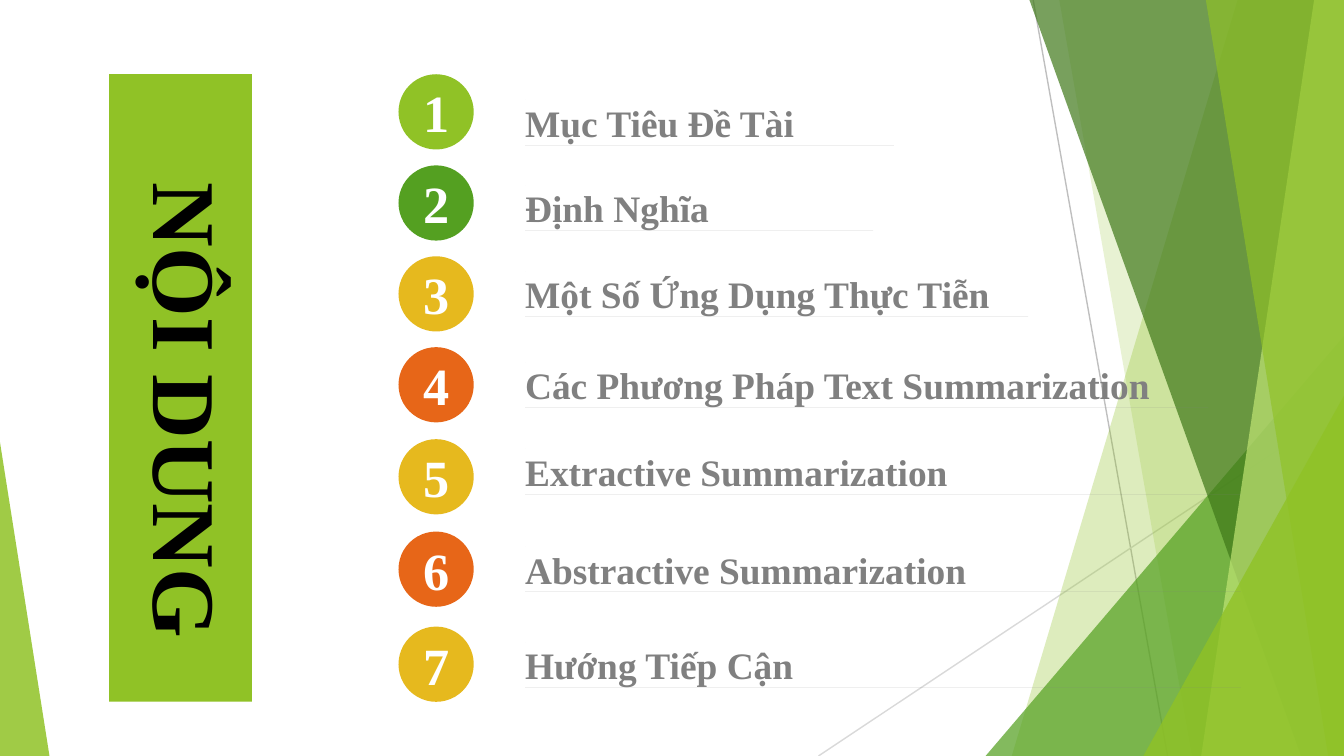
from lxml import etree
from pptx import Presentation
from pptx import util as u
from pptx.dml.color import RGBColor
from pptx.enum import shapes, text
from pptx.oxml import ns

W, H = 720, 405
FONT = "Times New Roman"
COLORS = {
    "lime": "90C226", "green": "54A021", "forest": "3F7819", "pale": "C0E474",
    "gold": "E6B91E", "orange": "E76618", "gray": "808080",
    "silver": "BFBFBF", "mist": "D9D9D9", "white": "FFFFFF", "black": "000000",
}
FACETS = [
    ("slant", (663, 720, 720, 542), "lime", 30),
    ("slant", (567.5, 720, 720, 638.5), "lime", 20),
    ("triangle", (528, 180, 192, 225), 1, "green", 72),
    ("slant", (551.5, 720, 720, 697), "forest", 70),
    ("slant", (704, 720, 720, 643.5), "pale", 70),
    ("slant", (646, 720, 720, 711.5), "lime", 65),
    ("triangle", (612.5, 212, 107.5, 193), 1, "lime", 80),
    ("triangle", (0, 237, 26.5, 168), 0, "lime", 85),
]
ITEMS = [
    ("Mục Tiêu Đề Tài", "lime", 39.8, 53.5, 197.5),
    ("Định Nghĩa", "green", 88.6, 99.2, 186.5),
    ("Một Số Ứng Dụng Thực Tiễn", "gold", 137.3, 145.2, 269.5),
    ("Các Phương Pháp Text Summarization", "orange", 186, 194, 366),
    ("Extractive Summarization", "gold", 235.3, 240.5, 383.5),
    ("Abstractive Summarization", "orange", 284.8, 292.8, 383.5),
    ("Hướng Tiếp Cận", "gold", 335.7, 344, 383.5),
]


def rgb(name):
    return RGBColor.from_string(COLORS[name])


def paint(sp, color, opacity=100):
    sp.shadow.inherit = False
    sp.line.fill.background()
    sp.fill.solid()
    sp.fill.fore_color.rgb = rgb(color)
    if opacity < 100:
        clr = sp._element.spPr.find(ns.qn("a:solidFill"))[0]
        etree.SubElement(clr, ns.qn("a:alpha")).set("val", str(opacity * 1000))


def add_shape(s, kind, box, color, opacity=100):
    sp = s.shapes.add_shape(kind, *map(u.Pt, box))
    paint(sp, color, opacity)
    return sp


def add_outline(s, contours, color, opacity=100):
    first, *rest = [[(u.Pt(x), u.Pt(y)) for x, y in c] for c in contours]
    fb = s.shapes.build_freeform(*first[0], scale=1.0)
    fb.add_line_segments(first[1:], close=True)
    for pts in rest:
        fb.move_to(*pts[0])
        fb.add_line_segments(pts[1:], close=True)
    sp = fb.convert_to_shape()
    paint(sp, color, opacity)
    return sp


def write(sp, words, size, color, align):
    p = sp.text_frame.paragraphs[0]
    p.alignment = align
    r = p.add_run()
    r.text = words
    r.font.name, r.font.size, r.font.bold = FONT, u.Pt(size), True
    r.font.color.rgb = rgb(color)


def center_text(sp):
    tf = sp.text_frame
    tf.word_wrap = True
    tf.vertical_anchor = text.MSO_ANCHOR.MIDDLE
    tf.margin_left = tf.margin_top = tf.margin_right = tf.margin_bottom = 0


def add_line(s, ends, color):
    c = s.shapes.add_connector(shapes.MSO_CONNECTOR.STRAIGHT, *map(u.Pt, ends))
    c.line.color.rgb = rgb(color)
    c.line.width = u.Pt(0.75)
    etree.SubElement(c._element.spPr, ns.qn("a:effectLst"))


def draw_backdrop(s, width, height):
    add_line(s, (553.5, 0, 625.5, height), "silver")
    add_line(s, (width, 217.5, 438.5, height), "mist")
    for kind, geometry, *style in FACETS:
        if kind == "slant":
            top_left, top_right, low_right, low_left = geometry
            outline = [(top_left, 0), (top_right, 0),
                       (low_right, height), (low_left, height)]
            add_outline(s, [outline], *style)
        else:
            apex, color, opacity = style
            sp = add_shape(s, shapes.MSO_SHAPE.ISOSCELES_TRIANGLE,
                           geometry, color, opacity)
            sp.adjustments[0] = apex


def draw_banner(s, x, y, w, h):
    add_shape(s, shapes.MSO_SHAPE.RECTANGLE, (x, y, w, h), "lime")
    title = s.shapes.add_textbox(*map(u.Pt, (x + 2.7, y + 51, 72.7, 320.4)))
    title.text_frame.word_wrap = True
    title.text_frame.auto_size = text.MSO_AUTO_SIZE.SHAPE_TO_FIT_TEXT
    title._element.txBody.bodyPr.set("vert", "eaVert")
    write(title, "NỘI DUNG", 48, "black", text.PP_ALIGN.LEFT)


def draw_item(s, x, number, label, color, badge_y, label_y, label_w):
    badge = add_shape(s, shapes.MSO_SHAPE.OVAL, (x, badge_y, 40.3, 40.3), color)
    center_text(badge)
    write(badge, str(number), 28, "white", text.PP_ALIGN.CENTER)
    left, base = x + 67.8, label_y + 24.3
    rule = [(left, base), (left + label_w, base), (left, base)]
    corner = [(left, label_y), (left, label_y)]
    line = add_outline(s, [rule, corner], "gray")
    center_text(line)
    write(line, label, 20, "gray", text.PP_ALIGN.LEFT)


def draw_contents(s, x):
    for number, item in enumerate(ITEMS, 1):
        draw_item(s, x, number, *item)


prs = Presentation()
prs.slide_width, prs.slide_height = u.Pt(W), u.Pt(H)
s = prs.slides.add_slide(prs.slide_layouts[6])
draw_backdrop(s, W, H)
draw_banner(s, 58.5, 39.8, 76.5, 336.2)
draw_contents(s, 213.5)
prs.save("out.pptx")
